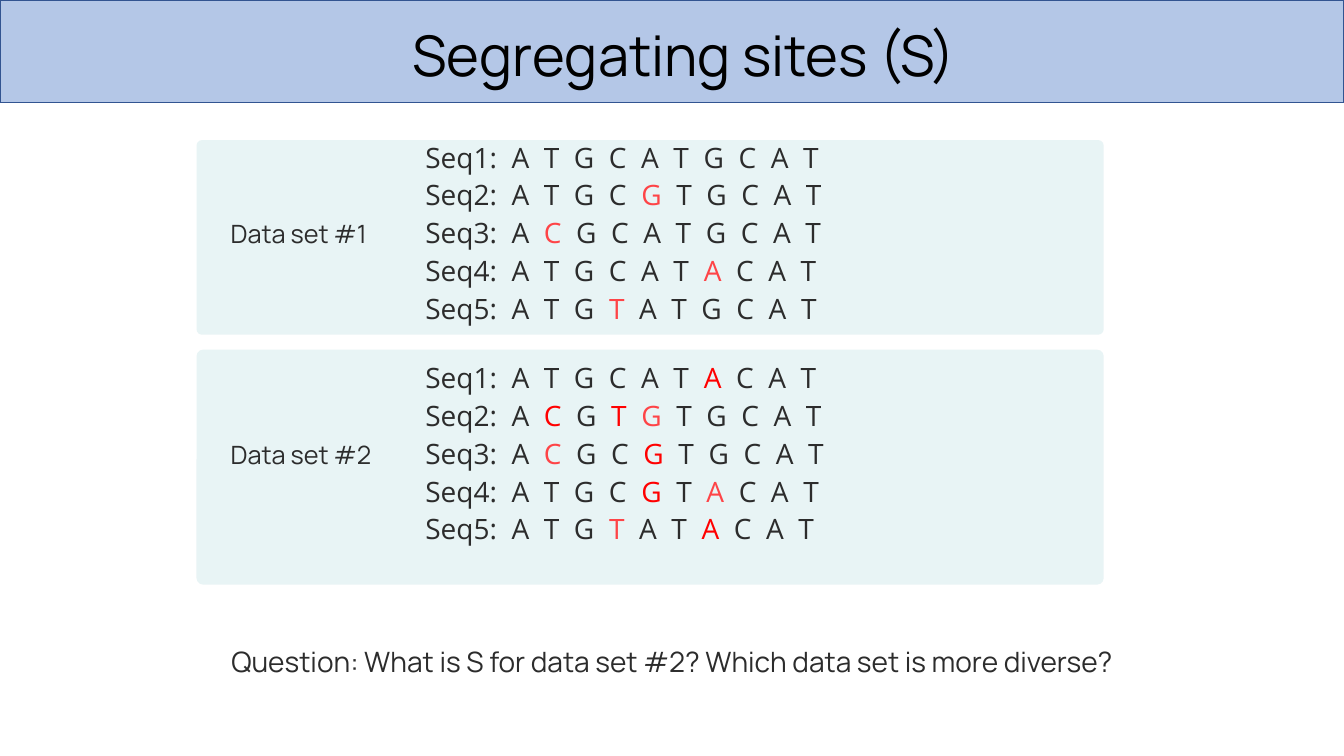
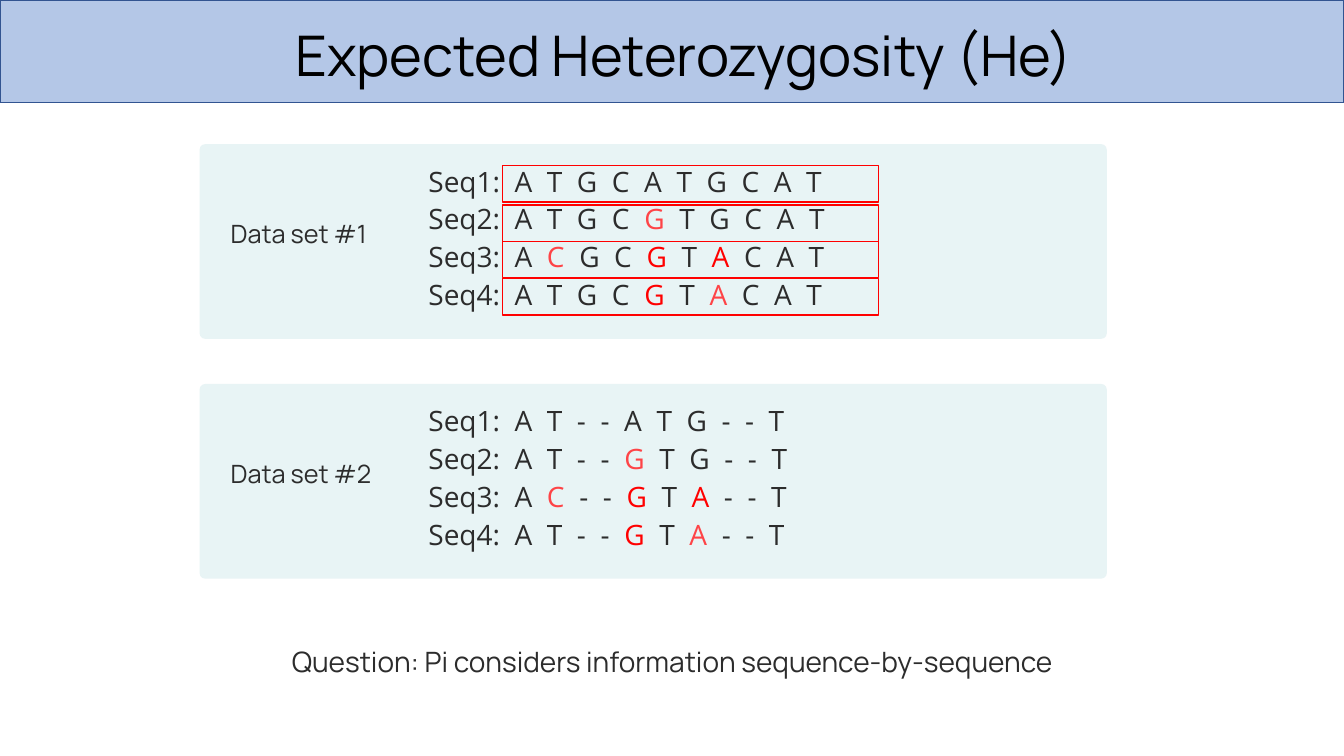
from lxml import etree
from pptx import Presentation
from pptx import util as u
from pptx.dml import color as dml
from pptx.enum import shapes, text
from pptx.oxml import ns

WIDE, HIGH = 960, 540
BLUE, EDGE, PALE = "B4C7E7", "325491", "E8F4F5"
INK, BLACK, RED, SOFT = "2C2C2C", "000000", "FF0000", "FE4447"
MARKS = {"~": SOFT, "!": RED}
MID = text.PP_ALIGN.CENTER
LINE = {"line_spacing": u.Pt(21), "space_after": u.Pt(3)}
TITLE = {"name": "Manrope", "size": u.Pt(40)}
LABEL = {"name": "Manrope", "size": u.Pt(18)}
ASK = {"name": "Manrope", "size": u.Pt(20)}
BASE = {"name": "Open Sans", "size": u.Pt(20)}


def paint(part, tone):
    part.rgb = dml.RGBColor.from_string(tone)


def apply(part, style):
    for key, value in style.items():
        setattr(part, key, value)


class Deck:
    def __init__(self):
        self.file = Presentation()
        self.file.slide_width = u.Pt(WIDE)
        self.file.slide_height = u.Pt(HIGH)

    def start(self, title, ask):
        self.slide = self.file.slides.add_slide(self.file.slide_layouts[6])
        self.rect(0, 0, WIDE, 73.4, BLUE, EDGE)
        self.label(8.6, 10.8, WIDE, 55.4, title, TITLE, BLACK, {"alignment": MID})
        self.label(139, 463.7, 682.6, 46, ask, ASK, INK, {"alignment": MID, **LINE}, 0)

    def rect(self, x, y, w, h, fill=None, line=None, curve=None):
        kind = shapes.MSO_SHAPE.ROUNDED_RECTANGLE if curve else shapes.MSO_SHAPE.RECTANGLE
        shape = self.slide.shapes.add_shape(kind, u.Pt(x), u.Pt(y), u.Pt(w), u.Pt(h))
        shape.shadow.inherit = False
        if curve:
            shape.adjustments[0] = curve
        if fill:
            shape.fill.solid()
            paint(shape.fill.fore_color, fill)
        else:
            shape.fill.background()
        if line:
            paint(shape.line.color, line)
            shape.line.width = u.Pt(1)
        else:
            shape.line.fill.background()

    def box(self, x, y, w, h, inset=None):
        frame = self.slide.shapes.add_textbox(u.Pt(x), u.Pt(y), u.Pt(w), u.Pt(h)).text_frame
        frame.word_wrap = True
        if inset is not None:
            for side in ("left", "right", "top", "bottom"):
                setattr(frame, "margin_" + side, u.Pt(inset))
        return frame

    def run(self, para, words, font, tone):
        run = para.add_run()
        run.text = words
        apply(run.font, font)
        paint(run.font.color, tone)
        return run

    def label(self, x, y, w, h, words, font, tone=INK, form={}, inset=None):
        para = self.box(x, y, w, h, inset).paragraphs[0]
        apply(para, form)
        self.run(para, words, font, tone)

    def bases(self, x, y, rows):
        frame = self.box(x, y, 322, 168, 0)
        for i, row in enumerate(rows):
            para = frame.add_paragraph() if i else frame.paragraphs[0]
            tabs = etree.SubElement(para._p.get_or_add_pPr(), ns.qn("a:tabLst"))
            etree.SubElement(tabs, ns.qn("a:tab"), pos=str(u.Pt(61.6)), algn="l")
            apply(para, {**LINE, "space_before": u.Pt(3 if i else 0)})
            self.run(para, f"Seq{i + 1}:\t", BASE, INK)
            parts = row.split()
            for j, part in enumerate(parts):
                gap = " " if j < len(parts) - 1 else ""
                words = " ".join(part.lstrip("~!")) + gap
                run = self.run(para, words, BASE, MARKS.get(part[0], INK))
                run._r.get_or_add_rPr().set("spc", "260")

    def panel(self, x, y, h, name, drop, shift, rows):
        self.rect(x, y, 648, h, PALE, curve=0.028)
        self.label(157.7, y + drop, 484.6, 28.8, name, LABEL)
        self.bases(x + 163.4, y + shift, rows)


def main():
    deck = Deck()
    deck.start("Segregating sites (S)",
               "Question: What is S for data set #2? Which data set is more diverse?")
    deck.panel(140.4, 100.1, 139, "Data set #1", 52.5, 2.9, [
        "ATGCATGCAT", "ATGC ~G TGCAT", "A ~C GCATGCAT", "ATGCAT ~A CAT", "ATG ~T ATGCAT"])
    deck.panel(140.4, 249.8, 167.8, "Data set #2", 60.5, 10.8, [
        "ATGCAT !A CAT", "A !C G !T ~G TGCAT", "A ~C GC !G TGCAT",
        "ATGC !G T ~A CAT", "ATG ~T AT !A CAT"])

    deck.start("Expected Heterozygosity (He)",
               "Question: Pi considers information sequence-by-sequence")
    rows = ["ATGCATGCAT", "ATGC ~G TGCAT", "A ~C GC !G T !A CAT", "ATGC !G T ~A CAT"]
    gaps = ["AT--ATG--T", "AT-- ~G TG--T", "A ~C -- !G T !A --T", "AT-- !G T ~A --T"]
    deck.panel(142.6, 103, 139, "Data set #1", 49.6, 17.2, rows)
    deck.panel(142.6, 274.3, 139, "Data set #2", 49.6, 17.2, gaps)
    for top in (118.4, 146.5, 172.4, 199):
        deck.rect(359, top, 268.6, 26, line=RED)
    deck.file.save("out.pptx")


if __name__ == "__main__":
    main()
